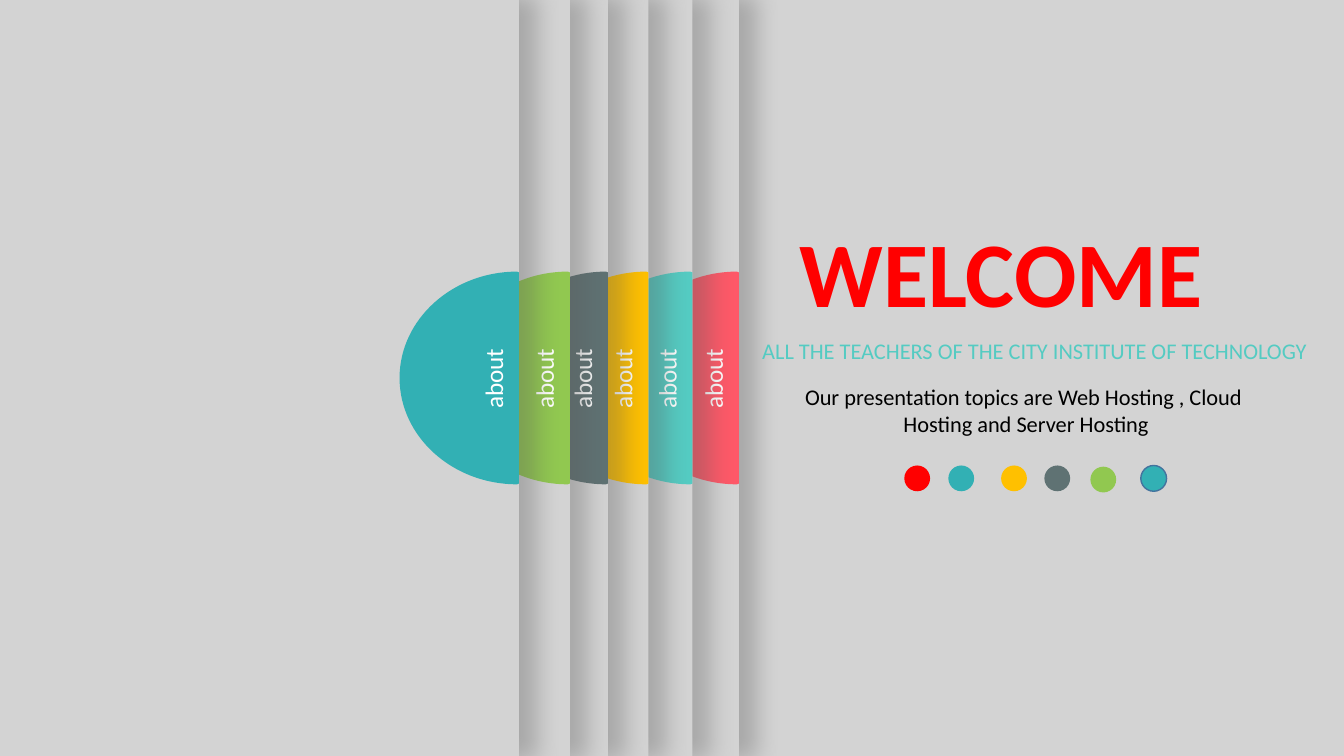
import lxml.etree
import pptx
import pptx.dml.color
import pptx.enum.shapes
import pptx.enum.text
import pptx.oxml.ns
import pptx.util
from dataclasses import dataclass
from pptx.util import Cm

SLIDE_W, SLIDE_H = 33.87, 19.05
GREY, TEAL, GREEN, SLATE = "D3D3D3", "32B0B4", "91C850", "5F7273"
YELLOW, AQUA, PINK, RED = "FFC000", "54CBC2", "FE5868", "FF0000"
TAB_RX, TAB_RY, TAB_RIM, TAB_BEVEL = 2.96, 2.68, 0.05, 0.02
KAPPA = 0.55
LABEL_W, LABEL_H, LABEL_OFFSET = 2.06, 1.02, 1.68
DOT_SIZE = 0.65
ALIGN = pptx.enum.text.PP_ALIGN
SHAPE = pptx.enum.shapes.MSO_SHAPE
qn = pptx.oxml.ns.qn


@dataclass
class Panel:
    edge: float
    color: str
    width: float = SLIDE_W


@dataclass
class Dot:
    left: float
    color: str
    top: float = 11.73
    line: str | None = None


PANELS = [
    Panel(18.62, PINK),
    Panel(17.45, AQUA, width=32.69),
    Panel(16.34, YELLOW),
    Panel(15.32, SLATE),
    Panel(14.36, GREEN),
    Panel(13.08, TEAL),
]
DOTS = [
    Dot(22.79, RED),
    Dot(23.9, TEAL),
    Dot(25.23, YELLOW),
    Dot(26.32, SLATE),
    Dot(27.48, GREEN, top=11.76),
    Dot(28.75, TEAL, line="43739E"),
]


def rgb(color: str) -> pptx.dml.color.RGBColor:
    return pptx.dml.color.RGBColor.from_string(color)


def paint(sp, color: str, line: str | None = None) -> None:
    sp.shadow.inherit = False
    sp.fill.solid()
    sp.fill.fore_color.rgb = rgb(color)
    if line:
        sp.line.color.rgb = rgb(line)
        sp.line.width = pptx.util.Pt(1)
    else:
        sp.line.fill.background()


def cast_shadow(sp) -> None:
    """Add a soft shadow to the right of a painted shape."""
    effects = sp._element.spPr.find(qn("a:effectLst"))
    shadow = lxml.etree.SubElement(
        effects, qn("a:outerShdw"), blurRad=str(pptx.util.Pt(17)),
        dist=str(pptx.util.Pt(3)), dir="0", sx="101000", sy="101000",
        algn="l", rotWithShape="0")
    clr = lxml.etree.SubElement(shadow, qn("a:srgbClr"), val="595959")
    lxml.etree.SubElement(clr, qn("a:alpha"), val="35000")


def write(sp, lines: list[str], size: int, color: str, align=ALIGN.LEFT,
          bold: bool = False, wrap: bool = True) -> None:
    tf = sp.text_frame
    frame_format = {
        "word_wrap": wrap,
        "auto_size": pptx.enum.text.MSO_AUTO_SIZE.SHAPE_TO_FIT_TEXT,
        "vertical_anchor": pptx.enum.text.MSO_ANCHOR.TOP,
    }
    for name, value in frame_format.items():
        setattr(tf, name, value)
    font_format = {"name": "Calibri", "size": pptx.util.Pt(size), "bold": bold}
    for i, line in enumerate(lines):
        p = tf.add_paragraph() if i else tf.paragraphs[0]
        p.alignment = align
        r = p.add_run()
        r.text = line
        for name, value in font_format.items():
            setattr(r.font, name, value)
        r.font.color.rgb = rgb(color)


def draw_tab(shapes, edge: float, color: str) -> None:
    """Draw a half ellipse whose flat side lies on the panel edge."""
    x, mid = edge - TAB_RIM, SLIDE_H / 2
    top, bottom, left = mid - TAB_RY, mid + TAB_RY, x - TAB_RX
    dx, dy = TAB_RX * KAPPA, TAB_RY * KAPPA
    corners = [(edge, top + TAB_BEVEL), (edge, bottom - TAB_BEVEL), (x, bottom)]
    curves = [(x - dx, bottom), (left, mid + dy), (left, mid),
              (left, mid - dy), (x - dx, top), (x, top)]
    builder = shapes.build_freeform(Cm(x), Cm(top))
    builder.add_line_segments([(Cm(a), Cm(b)) for a, b in corners + curves], close=True)
    sp = builder.convert_to_shape()
    paint(sp, color)

    # Turn each three points after the corners into one Bezier curve.
    segments = list(sp._element.iter(qn("a:lnTo")))[len(corners):]
    for i in range(0, len(segments), 3):
        curve = lxml.etree.Element(qn("a:cubicBezTo"))
        segments[i].addprevious(curve)
        for segment in segments[i:i + 3]:
            curve.append(segment[0])
            segment.getparent().remove(segment)


def draw_panel(s, panel: Panel) -> None:
    """Draw a full-height sheet with its tab and label."""
    shapes = s.shapes.add_group_shape().shapes
    sheet = shapes.add_shape(SHAPE.RECTANGLE, Cm(panel.edge - panel.width), 0,
                             Cm(panel.width), Cm(SLIDE_H))
    paint(sheet, GREY)
    cast_shadow(sheet)
    draw_tab(shapes, panel.edge, panel.color)
    label = shapes.add_textbox(Cm(panel.edge - LABEL_OFFSET), Cm((SLIDE_H - LABEL_H) / 2),
                               Cm(LABEL_W), Cm(LABEL_H))
    label.rotation = 270
    write(label, ["about"], 18, "FFFFFF", wrap=False)


def draw_welcome(s) -> None:
    title = s.shapes.title
    place = {"left": 19.89, "top": 5.3, "width": 10.92, "height": 3.07}
    for name, value in place.items():
        setattr(title, name, Cm(value))
    write(title, ["WELCOME"], 66, RED, bold=True)

    audience = s.shapes.add_textbox(Cm(18.96), Cm(8.36), Cm(14.42), Cm(0.94))
    write(audience, ["ALL THE TEACHERS OF THE CITY INSTITUTE OF TECHNOLOGY"], 16, AQUA)

    topics = s.shapes.add_textbox(Cm(20.02), Cm(9.54), Cm(11.68), Cm(1.63))
    write(topics, ["Our presentation topics are Web Hosting , Cloud ",
                   "Hosting and Server Hosting"], 16, "000000", ALIGN.CENTER, wrap=False)

    for dot in DOTS:
        sp = s.shapes.add_shape(SHAPE.OVAL, Cm(dot.left), Cm(dot.top),
                                Cm(DOT_SIZE), Cm(DOT_SIZE))
        paint(sp, dot.color, dot.line)


def main() -> None:
    prs = pptx.Presentation()
    prs.slide_width, prs.slide_height = Cm(SLIDE_W), Cm(SLIDE_H)
    s = prs.slides.add_slide(prs.slide_layouts.get_by_name("Title Only"))
    s.background.fill.solid()
    s.background.fill.fore_color.rgb = rgb(GREY)
    for panel in PANELS:
        draw_panel(s, panel)
    draw_welcome(s)
    prs.save("out.pptx")


if __name__ == "__main__":
    main()
